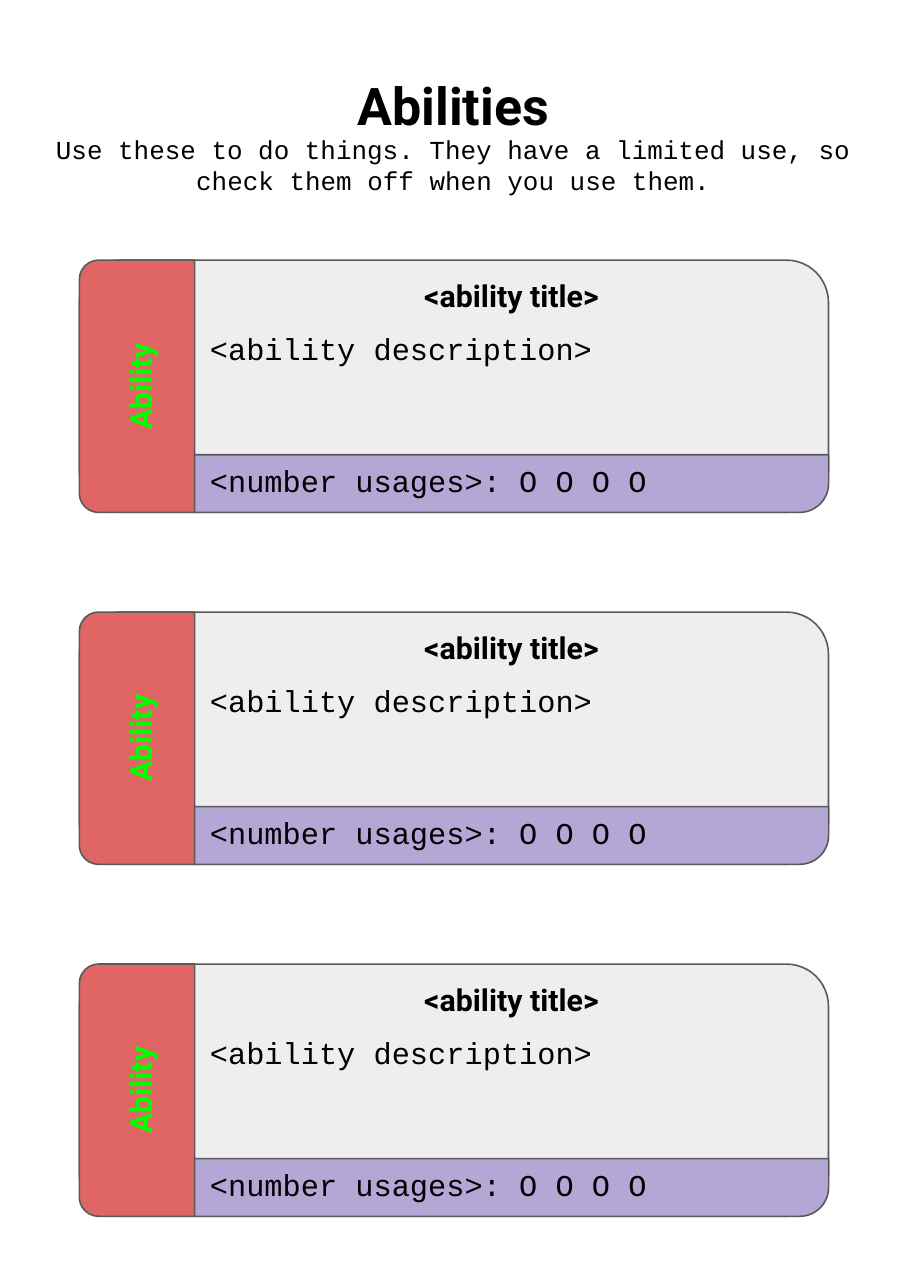
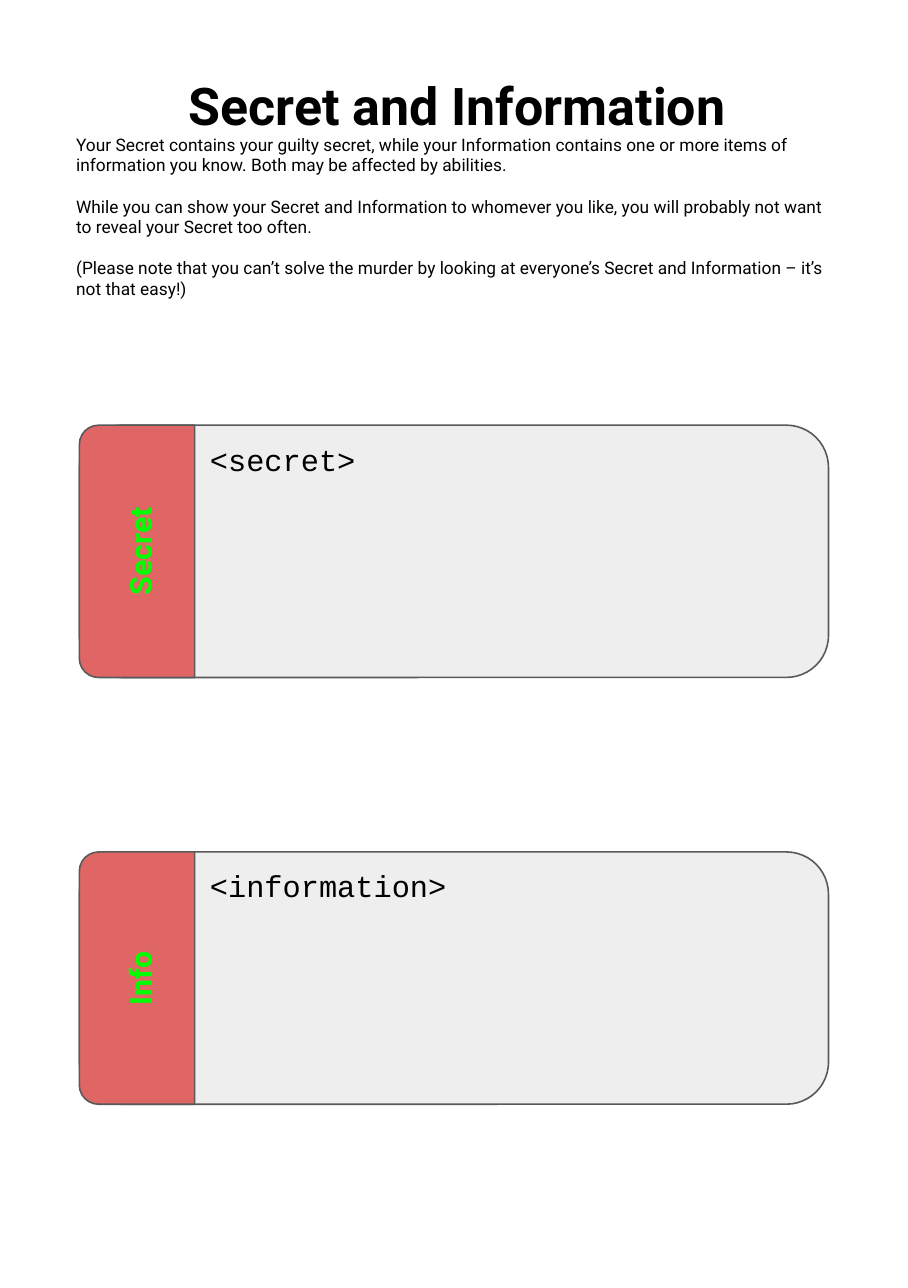
"""Build two printable game sheets: ability cards, and secret and information cards."""
from pptx import Presentation
from pptx import util as u
from pptx.dml.color import RGBColor
from pptx.enum import shapes, text

WIDTH, HEIGHT = 5.83, 8.27
BLACK, GREEN, RED, PURPLE, GREY, OUTLINE = "000000", "00FF00", "E06666", "B4A7D6", "EEEEEE", "595959"
SANS, MONO = "Roboto", "Courier New"
CENTER, LEFT = text.PP_ALIGN.CENTER, text.PP_ALIGN.LEFT
INSET = 0.1
TITLE_TOP, TITLE_HEIGHT = 0.37, 0.49
CARD_LEFT, CARD_WIDTH, CARD_HEIGHT = 0.51, 4.81, 1.62
TAB_WIDTH, BAND_HEIGHT = 0.74, 0.37
BODY_LEFT, BODY_WIDTH = CARD_LEFT + TAB_WIDTH, CARD_WIDTH - TAB_WIDTH

ABILITY = {
    "tab": "Ability",
    "title": "<ability title>",
    "body": "<ability description>",
    "usages": "<number usages>: O O O O",
}
SHEETS = [
    {
        "title": "Abilities",
        "intro": ["Use these to do things. They have a limited use, so check them off when you use them."],
        "style": {"size": 12, "font": MONO, "align": CENTER},
        "box": (0.23, 5.36),
        "first": 1.67,
        "pitch": 2.26,
        "cards": [ABILITY] * 3,
    },
    {
        "title": "Secret and Information",
        "intro": [
            "Your Secret contains your guilty secret, while your Information contains one or more "
            "items of information you know. Both may be affected by abilities.",
            "While you can show your Secret and Information to whomever you like, you will probably "
            "not want to reveal your Secret too often.",
            "(Please note that you can’t solve the murder by looking at everyone’s Secret and "
            "Information – it’s not that easy!)",
        ],
        "style": {"size": 8, "font": SANS, "align": LEFT, "gap": 9.4},
        "box": (0.39, 5.09),
        "first": 2.73,
        "pitch": 2.74,
        "cards": [{"tab": "Secret", "body": "<secret>"}, {"tab": "Info", "body": "<information>"}],
    },
]


def color(value):
    return RGBColor.from_string(value)


def inches(*lengths):
    return [u.Inches(length) for length in lengths]


def write(shape, lines, size=14, font=MONO, align=LEFT, bold=False, fill=BLACK,
          anchor=text.MSO_ANCHOR.TOP, top_inset=INSET, gap=0):
    frame = shape.text_frame
    frame.word_wrap = True
    frame.auto_size = text.MSO_AUTO_SIZE.NONE
    frame.vertical_anchor = anchor
    frame.margin_left = frame.margin_right = frame.margin_bottom = u.Inches(INSET)
    frame.margin_top = u.Inches(top_inset)
    for index, line in enumerate(lines):
        paragraph = frame.add_paragraph() if index else frame.paragraphs[0]
        paragraph.alignment = align
        paragraph.space_before = u.Pt(gap if index else 0)
        run = paragraph.add_run()
        run.text = line
        run.font.name, run.font.size, run.font.bold = font, u.Pt(size), bold
        run.font.color.rgb = color(fill)


def add_text(parent, box, lines, **style):
    write(parent.shapes.add_textbox(*inches(*box)), lines, **style)


def add_panel(parent, kind, box, fill, adjustments, rotation=0):
    """Draw a panel that covers box on the page once it is turned."""
    left, top, width, height = box
    if rotation:
        left, top = left + (width - height) / 2, top + (height - width) / 2
        width, height = height, width
    panel = parent.shapes.add_shape(kind, *inches(left, top, width, height))
    panel.rotation = rotation
    panel.shadow.inherit = False
    panel.fill.solid()
    panel.fill.fore_color.rgb = color(fill)
    panel.line.color.rgb = color(OUTLINE)
    panel.line.width = u.Pt(0.75)
    for index, value in enumerate(adjustments):
        panel.adjustments[index] = value
    return panel


def add_card(slide, top, card):
    group = slide.shapes.add_group_shape()
    kinds = shapes.MSO_SHAPE
    add_panel(group, kinds.ROUNDED_RECTANGLE, (CARD_LEFT, top, CARD_WIDTH, CARD_HEIGHT), GREY, [0.167])
    tab = add_panel(group, kinds.ROUND_2_SAME_RECTANGLE, (CARD_LEFT, top, TAB_WIDTH, CARD_HEIGHT),
                    RED, [0.167, 0], 270)
    write(tab, [card["tab"]], font=SANS, align=CENTER, bold=True, fill=GREEN,
          anchor=text.MSO_ANCHOR.MIDDLE)
    body_offset = 0
    if "title" in card:
        body_offset = 0.35
        add_text(group, (BODY_LEFT, top + 0.01, BODY_WIDTH, 0.47), [card["title"]],
                 font=SANS, align=CENTER, bold=True)
    body_height = 0.52 if "usages" in card else CARD_HEIGHT
    add_text(group, (BODY_LEFT, top + body_offset, BODY_WIDTH, body_height), [card["body"]])
    if "usages" in card:
        band_top = top + CARD_HEIGHT - BAND_HEIGHT
        add_panel(group, kinds.ROUND_1_RECTANGLE, (BODY_LEFT, band_top, BODY_WIDTH, BAND_HEIGHT),
                  PURPLE, [0.5], 90)
        add_text(group, (BODY_LEFT, band_top - 0.05, BODY_WIDTH, 0.47), [card["usages"]])


def add_sheet(presentation, sheet):
    slide = presentation.slides.add_slide(presentation.slide_layouts[5])
    left, width = sheet["box"]
    title = slide.shapes.title
    title.left, title.top, title.width, title.height = inches(left, TITLE_TOP, width, TITLE_HEIGHT)
    write(title, [sheet["title"]], size=24, font=SANS, align=CENTER, bold=True)
    add_text(slide, (left, TITLE_TOP + TITLE_HEIGHT, width, sheet["first"] - 0.95), sheet["intro"],
             top_inset=0, **sheet["style"])
    for row, card in enumerate(sheet["cards"]):
        add_card(slide, sheet["first"] + row * sheet["pitch"], card)


def main():
    presentation = Presentation()
    presentation.slide_width, presentation.slide_height = inches(WIDTH, HEIGHT)
    for sheet in SHEETS:
        add_sheet(presentation, sheet)
    presentation.save("out.pptx")


if __name__ == "__main__":
    main()
